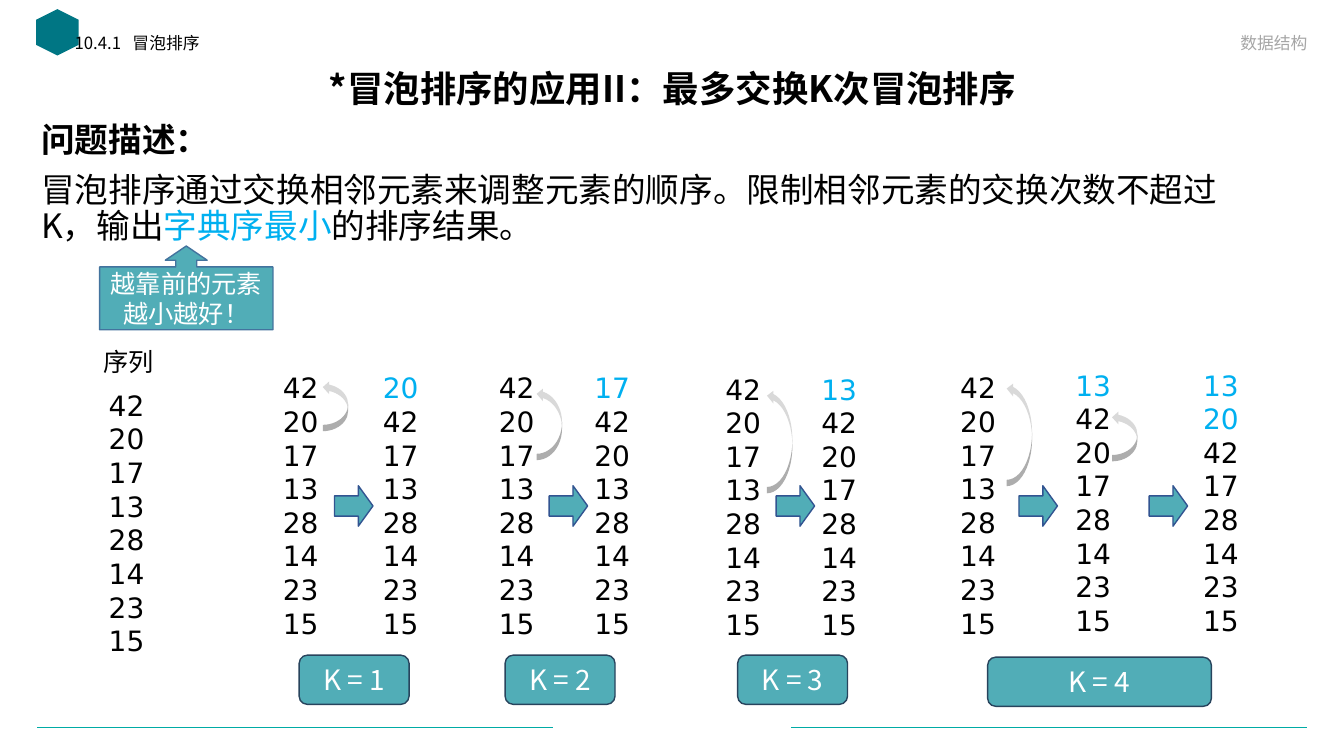
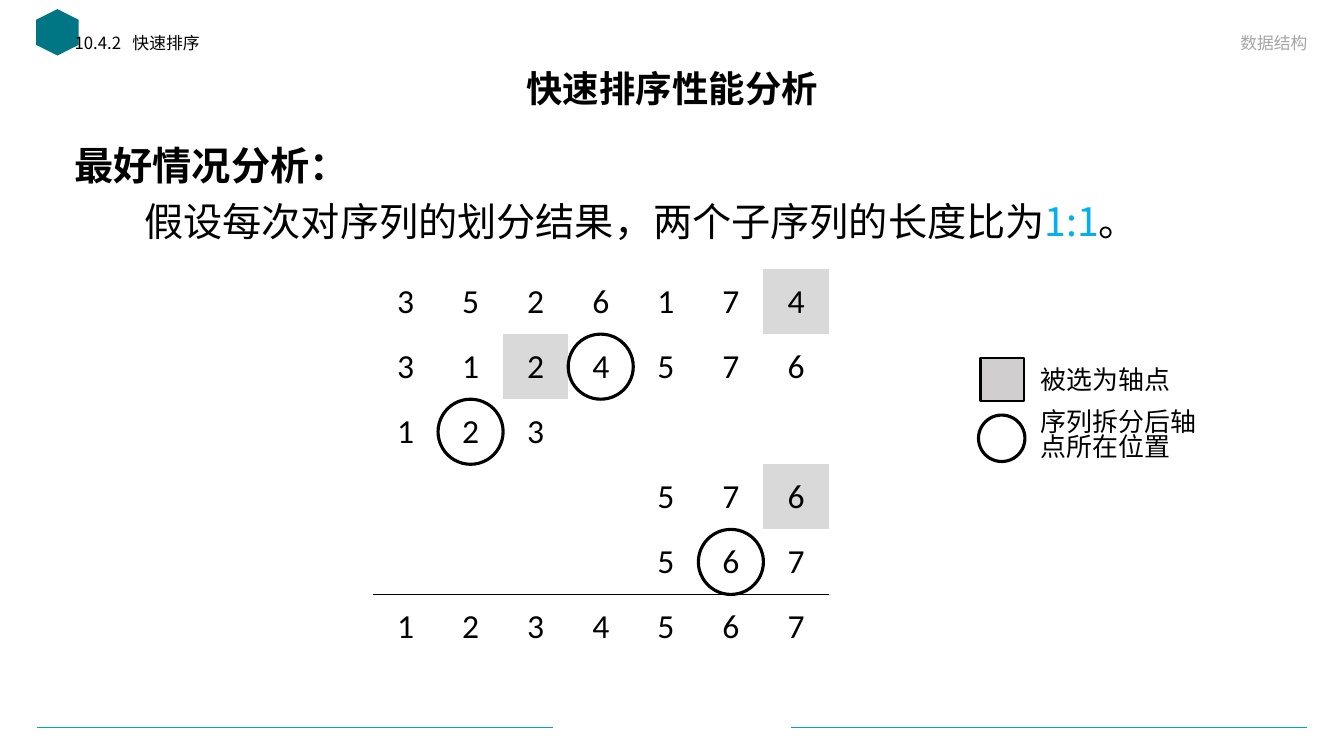
"""Build two lecture slides on bubble sort and quick sort."""
from dataclasses import dataclass
from typing import Any, NamedTuple

import pptx
import pptx.dml.color
import pptx.enum.shapes
import pptx.enum.text
import pptx.oxml
import pptx.oxml.ns
import pptx.slide
import pptx.util
from lxml import etree

Cm = pptx.util.Cm
Pt = pptx.util.Pt
Slide = pptx.slide.Slide
Align = pptx.enum.text.PP_ALIGN
Anchor = pptx.enum.text.MSO_ANCHOR
Kind = pptx.enum.shapes.MSO_SHAPE
qn = pptx.oxml.ns.qn

HUES = {
    "black": "000000", "white": "FFFFFF", "gray": "A6A6A6", "pale": "D9D9D9",
    "ash": "D0CECE", "teal": "00ABA5", "deep": "007684", "aqua": "51ADB7",
    "sky": "00B0F0", "navy": "325491", "slate": "28445D", "steel": "43739E",
}
HAN = "Noto Sans CJK SC"
PLAIN = "{2D5ABB26-0587-4C30-8999-92F81FD0307C}"


class Box(NamedTuple):
    left: float
    top: float
    width: float
    height: float

    def cm(self) -> list[Any]:
        return [Cm(side) for side in self]


@dataclass
class Run:
    text: str
    hue: str = "black"
    bold: bool = False


@dataclass
class Para:
    runs: list[Run]
    lead: float = 1.0
    before: float = 0
    indent: float = 0
    tab: float = 0


@dataclass
class Style:
    size: float
    font: str = HAN
    align: Any = Align.LEFT
    anchor: Any = Anchor.TOP
    wrap: bool = True


@dataclass
class Column:
    left: float
    top: float
    nums: list[int]
    hot: int = 0


@dataclass
class Swap:
    left: float
    top: float
    span: float
    arrow: float


@dataclass
class Badge:
    box: Box
    text: str


def tint(hue: str) -> pptx.dml.color.RGBColor:
    return pptx.dml.color.RGBColor.from_string(HUES[hue])


def write(frame: Any, paras: list[Para], style: Style) -> None:
    frame.word_wrap = style.wrap
    frame.vertical_anchor = style.anchor
    for spot, item in enumerate(paras):
        para = frame.add_paragraph() if spot else frame.paragraphs[0]
        para.alignment = style.align
        para.line_spacing = item.lead
        if item.before:
            para.space_before = Pt(item.before)
        props = para._p.get_or_add_pPr()
        if item.indent:
            props.set("indent", str(Cm(item.indent)))
        if item.tab:
            stops = etree.SubElement(props, qn("a:tabLst"))
            etree.SubElement(stops, qn("a:tab"), pos=str(Cm(item.tab)), algn="l")
        for part in item.runs:
            run = para.add_run()
            run.text = part.text
            run.font.name = style.font
            run.font.size = Pt(style.size)
            run.font.bold = part.bold
            run.font.color.rgb = tint(part.hue)
            face = etree.SubElement(run._r.get_or_add_rPr(), qn("a:ea"))
            face.set("typeface", HAN)


def label(slide: Slide, box: Box, paras: list[Para], style: Style) -> None:
    write(slide.shapes.add_textbox(*box.cm()).text_frame, paras, style)


def draw(slide: Slide, kind: Any, box: Box, fill: str = "", edge: str = "",
         weight: float = 1, knobs: tuple[float, ...] = (), turn: float = 0) -> Any:
    shape = slide.shapes.add_shape(kind, *box.cm())
    shape.shadow.inherit = False
    shape.rotation = turn
    for spot, knob in enumerate(knobs):
        shape.adjustments[spot] = knob
    if fill:
        shape.fill.solid()
        shape.fill.fore_color.rgb = tint(fill)
    else:
        shape.fill.background()
    if edge:
        shape.line.color.rgb = tint(edge)
        shape.line.width = Pt(weight)
    else:
        shape.line.fill.background()
    return shape


def rule(slide: Slide, left: float, right: float, top: float) -> None:
    line = slide.shapes.add_connector(
        pptx.enum.shapes.MSO_CONNECTOR.STRAIGHT, Cm(left), Cm(top), Cm(right), Cm(top))
    line.line.color.rgb = tint("teal")
    line.line.width = Pt(0.5)
    etree.SubElement(line._element.spPr, qn("a:effectLst"))


def start(deck: Any, title: str, code: str, topic: str) -> Slide:
    slide = deck.slides.add_slide(deck.slide_layouts[6])
    for left in (0.94, 19.94):
        rule(slide, left, left + 13, 18.34)
    draw(slide, Kind.HEXAGON, Box(0.86, 0.28, 1.17, 1.07), "deep", turn=90)
    label(slide, Box(2.34, 1.57, 29.21, 1.45), [Para([Run(title, bold=True)], 0.9)],
          Style(26, align=Align.CENTER, anchor=Anchor.MIDDLE))
    label(slide, Box(1.63, 0.76, 13.51, 0.91),
          [Para([Run(f"{code}\t{topic}")], 0.9, tab=1.46)], Style(12))
    label(slide, Box(18.87, 0.56, 14.33, 0.89), [Para([Run("数据结构", "gray")])],
          Style(12, align=Align.RIGHT, anchor=Anchor.BOTTOM))
    return slide


def lift(nums: list[int], source: int, target: int = 0) -> list[int]:
    rest = nums[:source] + nums[source + 1:]
    return rest[:target] + [nums[source]] + rest[target:]


def bubble(deck: Any) -> None:
    slide = start(deck, "*冒泡排序的应用II：最多交换K次冒泡排序", "10.4.1", "冒泡排序")
    label(slide, Box(0.79, 2.67, 30.71, 14.05), [
        Para([Run("问题描述：", bold=True)], 1.2),
        Para([Run("冒泡排序通过交换相邻元素来调整元素的顺序。限制相邻元素的交换次数不超过K，输出"),
              Run("字典序最小", "sky"), Run("的排序结果。")], 0.9, 10),
    ], Style(24))
    label(slide, Box(2.36, 8.59, 1.8, 1.02), [Para([Run("序列")])],
          Style(18, "Calibri", wrap=False))

    base = [42, 20, 17, 13, 28, 14, 23, 15]
    third = lift(base, 3)
    columns = [
        Column(2.49, 9.63, base),
        Column(6.88, 9.19, base), Column(9.4, 9.19, lift(base, 1), 1),
        Column(12.32, 9.19, base), Column(14.73, 9.19, lift(base, 2), 1),
        Column(18.03, 9.22, base), Column(20.45, 9.22, third, 1),
        Column(23.95, 9.19, base), Column(26.85, 9.12, third, 1),
        Column(30.07, 9.12, lift(third, 2, 1), 2),
    ]
    for col in columns:
        paras = [Para([Run(str(num), "sky" if row < col.hot else "black")])
                 for row, num in enumerate(col.nums)]
        label(slide, Box(col.left, col.top, 2.34, 7.09), paras,
              Style(20, "DejaVu Sans", anchor=Anchor.MIDDLE))

    swaps = [
        Swap(7.82, 9.91, 1.27, 8.43), Swap(12.93, 10.36, 1.83, 13.84),
        Swap(18.34, 10.8, 2.62, 19.56), Swap(24.38, 10.62, 2.62, 25.68),
        Swap(27.71, 10.67, 1.27, 28.96),
    ]
    for swap in swaps:
        draw(slide, Kind.CURVED_UP_ARROW, Box(swap.left, swap.top, swap.span, 0.64),
             "pale", turn=270)
        draw(slide, Kind.RIGHT_ARROW, Box(swap.arrow, 12.24, 0.97, 1.02),
             "aqua", "navy", knobs=(0.5, 0.38))

    badges = [
        Badge(Box(7.54, 16.51, 2.77, 1.24), "K = 1"),
        Badge(Box(12.73, 16.51, 2.77, 1.24), "K = 2"),
        Badge(Box(18.59, 16.51, 2.77, 1.24), "K = 3"),
        Badge(Box(24.89, 16.56, 5.64, 1.24), "K = 4"),
    ]
    for badge in badges:
        shape = draw(slide, Kind.ROUNDED_RECTANGLE, badge.box, "aqua", "slate")
        write(shape.text_frame, [Para([Run(badge.text, "white")])],
              Style(20, align=Align.CENTER, anchor=Anchor.MIDDLE))
    hint = draw(slide, Kind.UP_ARROW_CALLOUT, Box(2.51, 6.2, 4.37, 2.11),
                "aqua", "steel", knobs=(0.25, 0.25, 0.17, 0.75))
    write(hint.text_frame, [Para([Run("越靠前的元素越小越好！", "white")])],
          Style(18, align=Align.CENTER, anchor=Anchor.MIDDLE))


def border(cell: Any, side: str) -> None:
    line = etree.Element(qn(f"a:{side}"), w=str(Pt(1)))
    fill = etree.SubElement(line, qn("a:solidFill"))
    etree.SubElement(fill, qn("a:srgbClr"), val=HUES["black"])
    cell._tc.get_or_add_tcPr().insert(0, line)


def trace(slide: Slide) -> None:
    left, top, unit = 9.4, 6.78, 1.64
    rows = ["3526174", "3124576", "123    ", "    576", "    567", "1234567"]
    pivots = {(0, 6), (1, 2), (3, 6)}
    rings = [(2, 1), (4, 5), (1, 3)]
    wide, high = len(rows[0]), len(rows)
    frame = slide.shapes.add_table(
        high, wide, *Box(left, top, wide * unit, high * unit).cm())
    table = frame.table
    table.first_row = table.horz_banding = False
    table._tbl.tblPr.find(qn("a:tableStyleId")).text = PLAIN
    for col in table.columns:
        col.width = Cm(unit)
    for r, digits in enumerate(rows):
        table.rows[r].height = Cm(unit)
        for c, digit in enumerate(digits):
            cell = table.cell(r, c)
            if (r, c) in pivots:
                cell.fill.solid()
                cell.fill.fore_color.rgb = tint("pale")
            else:
                cell.fill.background()
            cell.vertical_anchor = Anchor.MIDDLE
            if digit.strip():
                write(cell.text_frame, [Para([Run(digit)])],
                      Style(24, "Calibri", Align.CENTER, Anchor.MIDDLE))
            if r >= high - 2:
                border(cell, "lnT" if r == high - 1 else "lnB")
    for r, c in rings:
        draw(slide, Kind.OVAL, Box(left + c * unit, top + r * unit, unit, unit),
             edge="black", weight=2.25)


def quick(deck: Any) -> None:
    slide = start(deck, "快速排序性能分析", "10.4.2", "快速排序")
    label(slide, Box(1.63, 3.56, 30.71, 14.05), [
        Para([Run("最好情况分析：", bold=True)], 0.9),
        Para([Run("假设每次对序列的划分结果，两个子序列的长度比为"),
              Run("1:1", "sky"), Run("。")], 0.9, 10, indent=1.76),
    ], Style(28))
    trace(slide)
    label(slide, Box(25.98, 9.19, 4.98, 2.79), [
        Para([Run("被选为轴点")], 0.8),
        Para([Run("序列拆分后轴点所在位置")], 0.8, 12),
    ], Style(18.5))
    draw(slide, Kind.RECTANGLE, Box(24.71, 9.02, 1.09, 1.09), "ash", "black", 1.5)
    draw(slide, Kind.OVAL, Box(24.66, 10.46, 1.17, 1.17), edge="black", weight=2.25)


def main() -> None:
    deck = pptx.Presentation()
    deck.slide_width, deck.slide_height = Cm(33.87), Cm(19.05)
    bubble(deck)
    quick(deck)
    deck.save("out.pptx")


if __name__ == "__main__":
    main()
